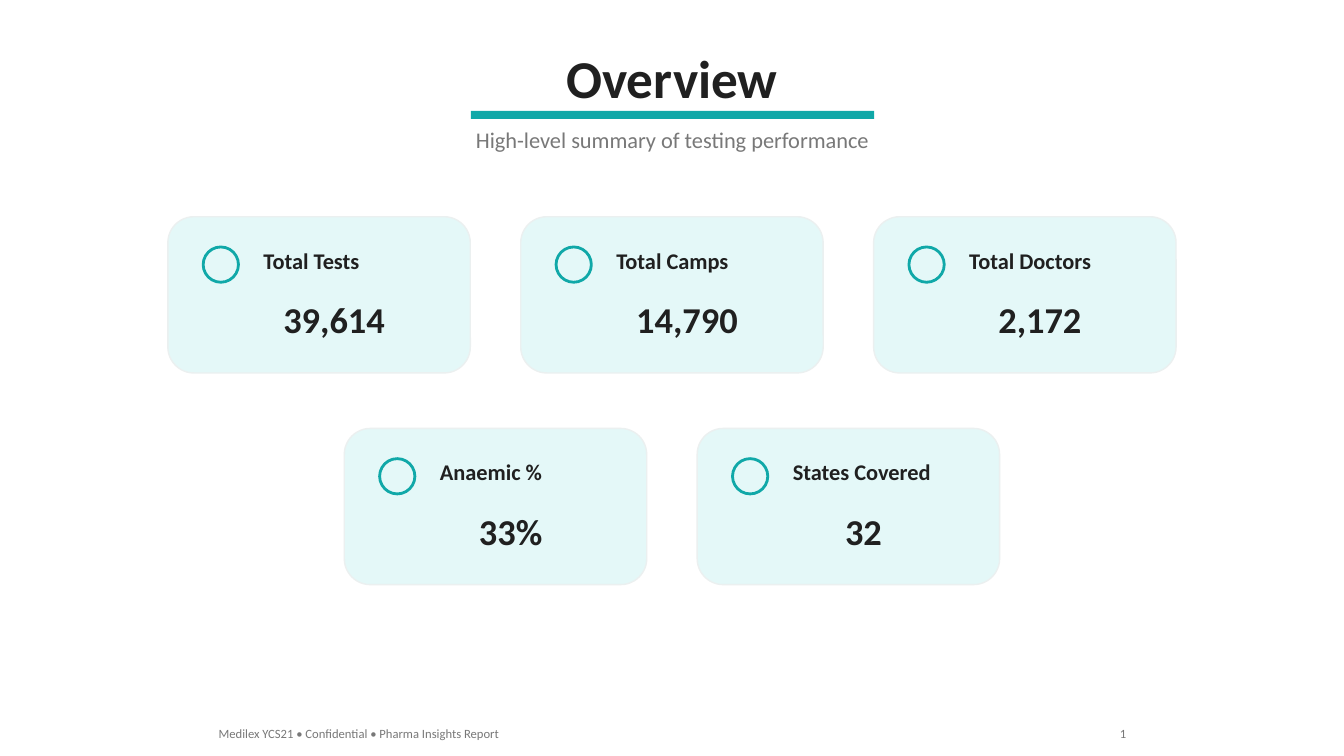
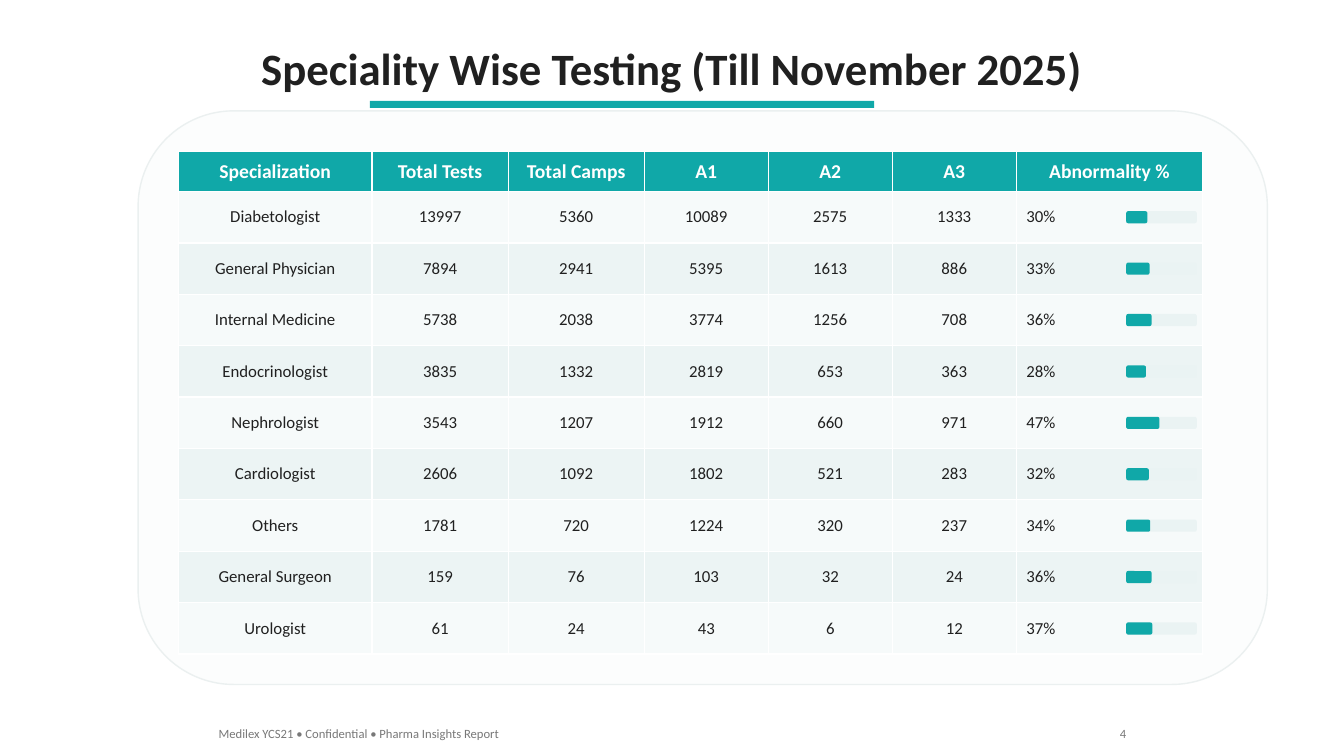
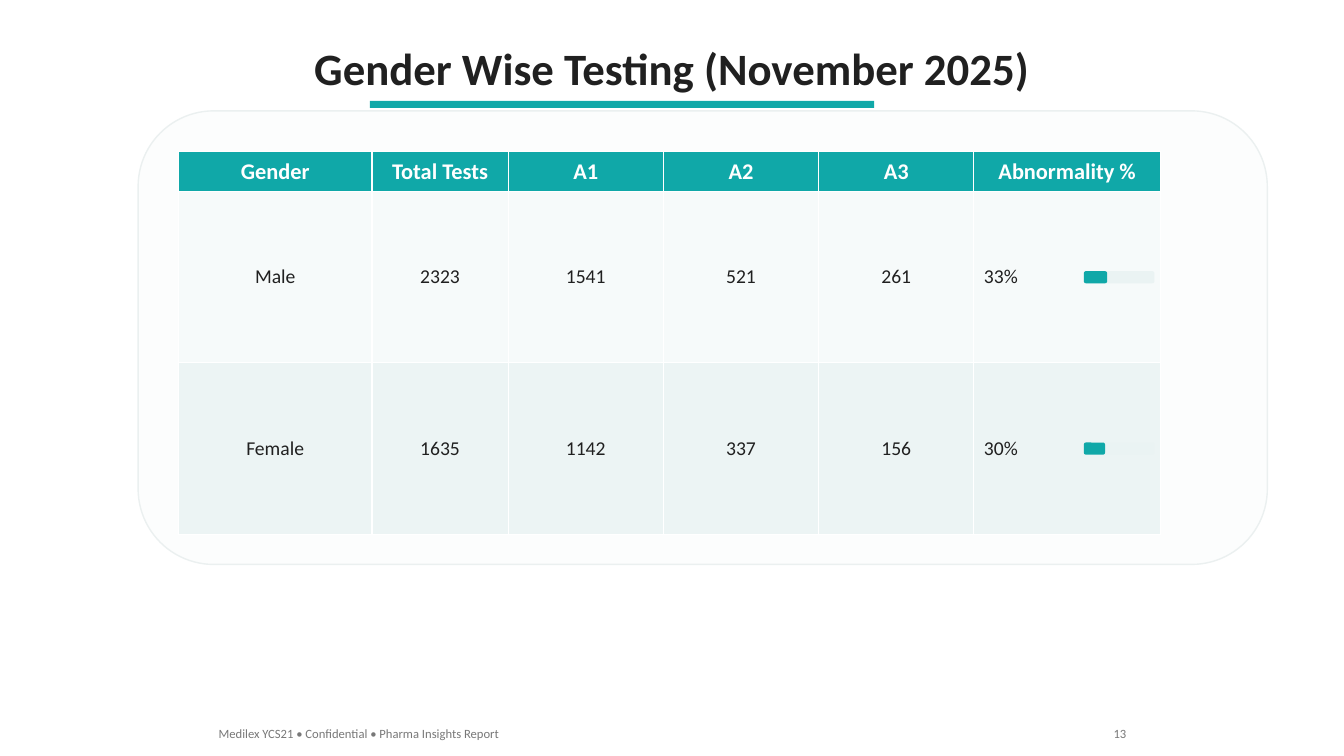
from pptx import Presentation
from pptx.dml.color import RGBColor
from pptx.enum.shapes import MSO_SHAPE
from pptx.enum.text import MSO_ANCHOR, MSO_AUTO_SIZE, PP_ALIGN
from pptx.util import Inches, Pt

SLIDE_W, SLIDE_H = 13.33, 7.5
FONT = "Calibri"
TEAL, INK, GREY, WHITE = "10A8A8", "202020", "787878", "FFFFFF"
MINT, PANEL, OUTLINE, TRACK = "E4F8F8", "FCFDFD", "EBF0F0", "EAF3F3"
BANDS = ("F6FAFA", "ECF4F4")
FOOTER = "Medilex YCS21 • Confidential • Pharma Insights Report"

CARD_W, CARD_H, CARD_GAP = 3, 1.55, 0.5
CARD_TOP, CARD_PITCH = 2.15, 2.1
TABLE_X, TABLE_Y, HEADER_H = 1.77, 1.5, 0.4
BAR_W, BAR_H = 0.7, 0.12

KPI_ROWS = [
    [("Total Tests", "39,614"), ("Total Camps", "14,790"), ("Total Doctors", "2,172")],
    [("Anaemic %", "33%"), ("States Covered", "32")],
]
SPECIALITIES = [
    ("Specialization", "Total Tests", "Total Camps", "A1", "A2", "A3", "Abnormality %"),
    ("Diabetologist", 13997, 5360, 10089, 2575, 1333, 30),
    ("General Physician", 7894, 2941, 5395, 1613, 886, 33),
    ("Internal Medicine", 5738, 2038, 3774, 1256, 708, 36),
    ("Endocrinologist", 3835, 1332, 2819, 653, 363, 28),
    ("Nephrologist", 3543, 1207, 1912, 660, 971, 47),
    ("Cardiologist", 2606, 1092, 1802, 521, 283, 32),
    ("Others", 1781, 720, 1224, 320, 237, 34),
    ("General Surgeon", 159, 76, 103, 32, 24, 36),
    ("Urologist", 61, 24, 43, 6, 12, 37),
]
GENDERS = [
    ("Gender", "Total Tests", "A1", "A2", "A3", "Abnormality %"),
    ("Male", 2323, 1541, 521, 261, 33),
    ("Female", 1635, 1142, 337, 156, 30),
]


def rgb(value):
    return RGBColor.from_string(value)


def write(tf, text, size, color=INK, bold=False, align=PP_ALIGN.LEFT):
    p = tf.paragraphs[0]
    p.alignment = align
    r = p.add_run()
    r.text = text
    r.font.name = FONT
    r.font.size = Pt(size)
    r.font.bold = bold
    r.font.color.rgb = rgb(color)


def add_text(s, x, y, w, h, text, size, **style):
    sp = s.shapes.add_textbox(Inches(x), Inches(y), Inches(w), Inches(h))
    sp.text_frame.word_wrap = True
    write(sp.text_frame, text, size, **style)


def add_box(s, kind, x, y, w, h, fill=None, line=None, line_width=1):
    sp = s.shapes.add_shape(kind, Inches(x), Inches(y), Inches(w), Inches(h))
    sp.shadow.inherit = False
    if fill:
        sp.fill.solid()
        sp.fill.fore_color.rgb = rgb(fill)
    else:
        sp.fill.background()
    if line:
        sp.line.color.rgb = rgb(line)
        sp.line.width = Pt(line_width)
    else:
        sp.line.fill.background()


def add_slide(prs, title, page, size, title_box, rule):
    """Add a slide with its title, the teal rule below it and the footer."""
    s = prs.slides.add_slide(prs.slide_layouts[5])
    y, w, h = title_box
    sp = s.shapes.title
    sp.left, sp.top = Inches((SLIDE_W - w) / 2), Inches(y)
    sp.width, sp.height = Inches(w), Inches(h)
    tf = sp.text_frame
    tf.auto_size = MSO_AUTO_SIZE.NONE
    tf.vertical_anchor = MSO_ANCHOR.TOP
    tf.word_wrap = False
    write(tf, title, size, bold=True, align=PP_ALIGN.CENTER)
    add_box(s, MSO_SHAPE.RECTANGLE, *rule, fill=TEAL)
    add_text(s, 2.07, 7.15, 3.2, 0.25, FOOTER, 9, color=GREY)
    add_text(s, 10.87, 7.15, 0.4, 0.25, str(page), 9, color=GREY, align=PP_ALIGN.RIGHT)
    return s


def add_kpi_card(s, x, y, label, value):
    add_box(s, MSO_SHAPE.ROUNDED_RECTANGLE, x, y, CARD_W, CARD_H, MINT, OUTLINE)
    add_box(s, MSO_SHAPE.OVAL, x + 0.35, y + 0.3, 0.35, 0.35, line=TEAL, line_width=2)
    add_text(s, x + 0.85, y + 0.25, 1.7, 0.37, label, 16, bold=True)
    add_text(s, x + 1, y + 0.75, 1.3, 0.54, value, 26, bold=True, align=PP_ALIGN.CENTER)


def add_table(s, rows, widths, row_h, header_size, body_size):
    shape = s.shapes.add_table(
        len(rows), len(widths), Inches(TABLE_X), Inches(TABLE_Y),
        Inches(sum(widths)), Inches(HEADER_H + row_h * (len(rows) - 1)))
    table = shape.table
    for column, w in zip(table.columns, widths):
        column.width = Inches(w)
    last = len(widths) - 1
    for i, values in enumerate(rows):
        header = i == 0
        table.rows[i].height = Inches(HEADER_H if header else row_h)
        for j, value in enumerate(values):
            percent = j == last and not header
            cell = table.cell(i, j)
            cell.vertical_anchor = MSO_ANCHOR.MIDDLE
            cell.fill.solid()
            cell.fill.fore_color.rgb = rgb(TEAL if header else BANDS[(i - 1) % 2])
            write(cell.text_frame, f"{value}%" if percent else str(value),
                  header_size if header else body_size,
                  color=WHITE if header else INK, bold=header,
                  align=PP_ALIGN.LEFT if percent else PP_ALIGN.CENTER)


def add_table_slide(prs, title, page, title_w, rows, widths, row_h, header_size, body_size):
    """Add a panel with a table and a progress bar in each row's last cell."""
    s = add_slide(prs, title, page, 32, (0.35, title_w, 0.64), (3.67, 1, 5, 0.07))
    panel_h = HEADER_H + row_h * (len(rows) - 1) + 0.7
    add_box(s, MSO_SHAPE.ROUNDED_RECTANGLE, 1.37, 1.1, 11.2, panel_h, PANEL, OUTLINE)
    add_table(s, rows, widths, row_h, header_size, body_size)
    bar_x = TABLE_X + sum(widths) - 0.76
    for i, values in enumerate(rows[1:]):
        bar_y = TABLE_Y + HEADER_H + row_h * (i + 0.5) - BAR_H / 2
        for share, color in ((1, TRACK), (values[-1] / 100, TEAL)):
            add_box(s, MSO_SHAPE.ROUNDED_RECTANGLE, bar_x, bar_y, BAR_W * share, BAR_H, color)


def add_overview(prs):
    s = add_slide(prs, "Overview", 1, 38, (0.4, 2.32, 0.74), (4.67, 1.1, 4, 0.08))
    add_text(s, 4.42, 1.2, 4.5, 0.37, "High-level summary of testing performance", 16,
             color=GREY, align=PP_ALIGN.CENTER)
    for i, cards in enumerate(KPI_ROWS):
        row_w = len(cards) * (CARD_W + CARD_GAP) - CARD_GAP
        for j, (label, value) in enumerate(cards):
            x = (SLIDE_W - row_w) / 2 + j * (CARD_W + CARD_GAP)
            add_kpi_card(s, x, CARD_TOP + i * CARD_PITCH, label, value)


def main():
    prs = Presentation()
    prs.slide_width, prs.slide_height = Inches(SLIDE_W), Inches(SLIDE_H)
    add_overview(prs)
    add_table_slide(prs, "Speciality Wise Testing (Till November 2025)", 4, 8.43, SPECIALITIES,
                    [1.92] + [1.35] * 2 + [1.23] * 3 + [1.85], 0.51, 14, 12)
    add_table_slide(prs, "Gender Wise Testing (November 2025)", 13, 7.36, GENDERS,
                    [1.92, 1.35] + [1.54] * 3 + [1.85], 1.7, 16, 14)
    prs.save("out.pptx")


if __name__ == "__main__":
    main()
